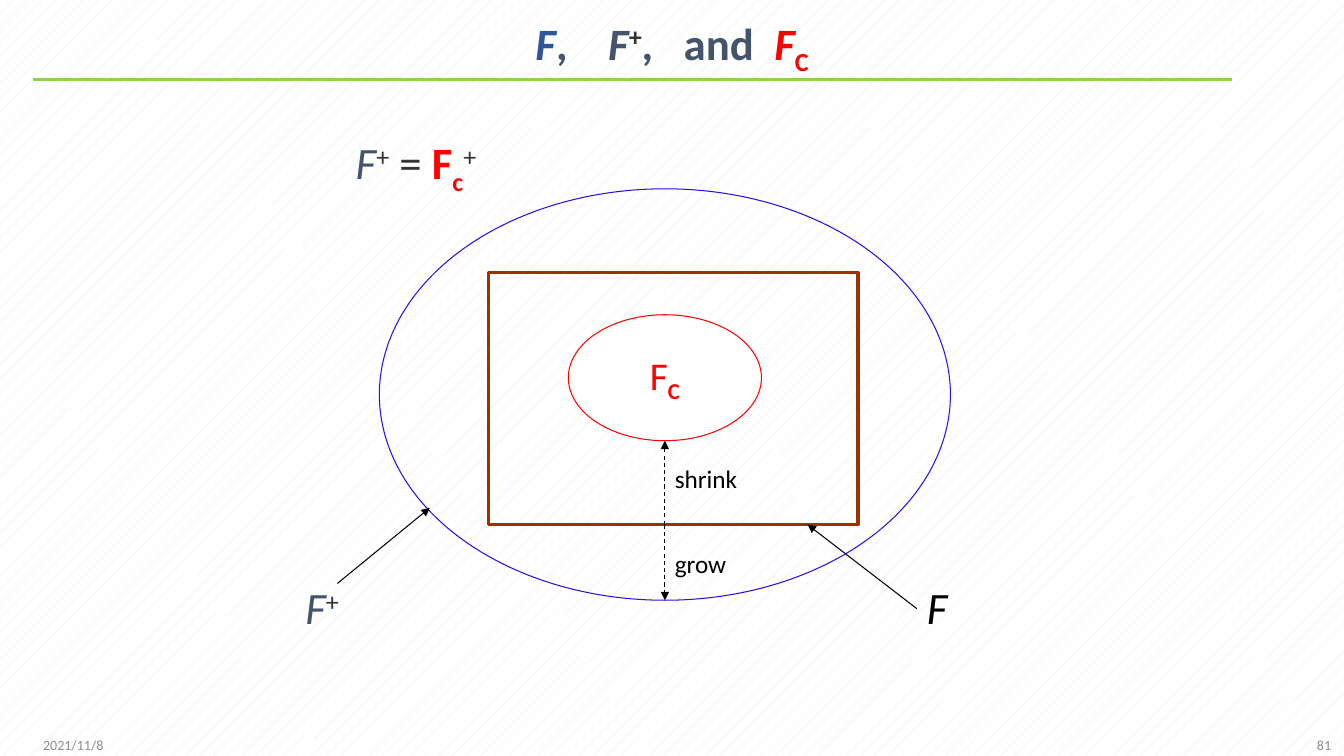
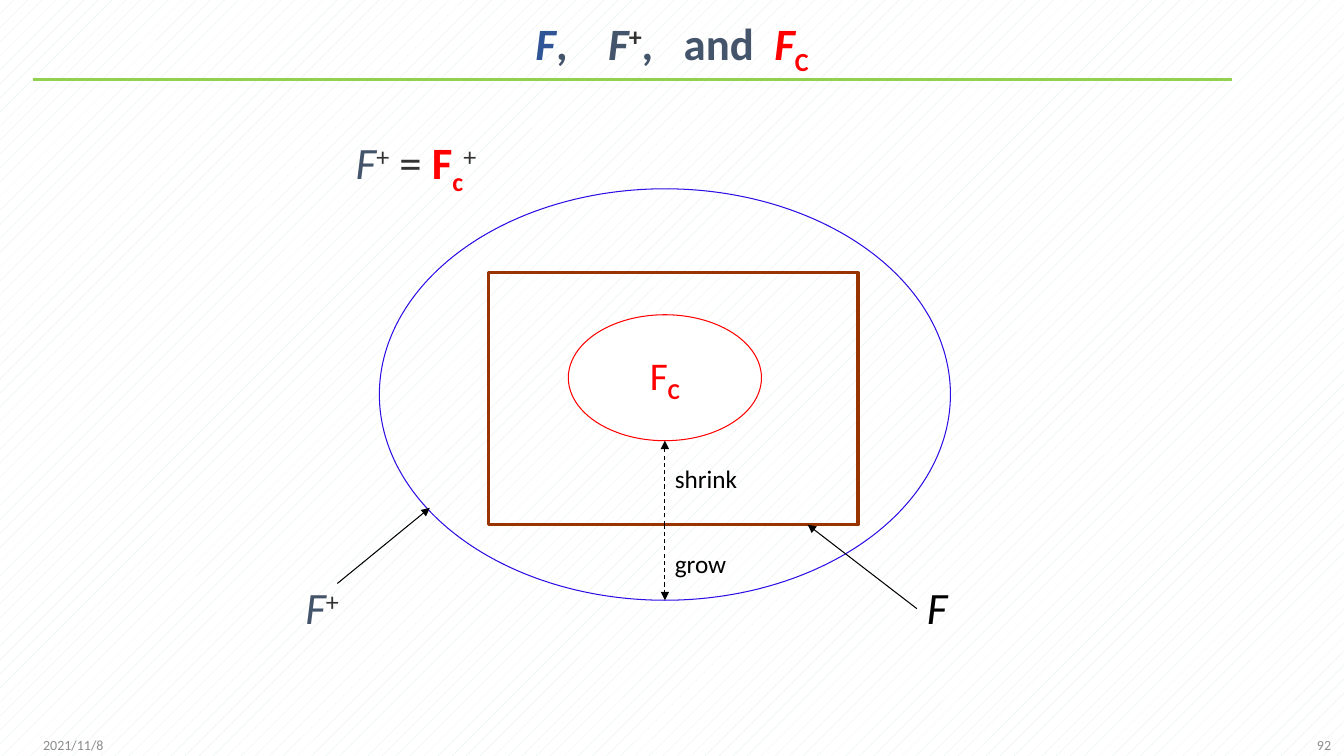
import dataclasses

import lxml.etree
import pptx
import pptx.dml.color
import pptx.enum.dml
import pptx.enum.shapes
import pptx.enum.text
import pptx.oxml.ns
import pptx.util

RGBColor = pptx.dml.color.RGBColor
Inches = pptx.util.Inches
Pt = pptx.util.Pt
ALIGN = pptx.enum.text.PP_ALIGN
ANCHOR = pptx.enum.text.MSO_ANCHOR
AUTO_SIZE = pptx.enum.text.MSO_AUTO_SIZE
SHAPE = pptx.enum.shapes.MSO_SHAPE

WHITE = RGBColor(0xFF, 0xFF, 0xFF)
BLACK = RGBColor(0x00, 0x00, 0x00)
INK = RGBColor(0x33, 0x33, 0x33)
SLATE = RGBColor(0x44, 0x54, 0x6A)
BLUE = RGBColor(0x2F, 0x55, 0x97)
VIOLET = RGBColor(0x2D, 0x0E, 0xE4)
RED = RGBColor(0xFF, 0x00, 0x00)
BROWN = RGBColor(0x99, 0x33, 0x00)
GREEN = RGBColor(0x92, 0xD0, 0x50)
GREY = RGBColor(0x8C, 0x8C, 0x8C)
MINT = RGBColor(0xDC, 0xEC, 0xE0)

FONT = "Calibri"
WIDTH, HEIGHT = 13.33, 7.5
MARGIN = 0.33
SUPERSCRIPT, SUBSCRIPT = 30, -25
DATE = "2021/11/8"
PAGE_NUMBERS = ["81", "92"]


@dataclasses.dataclass
class Piece:
    text: str
    color: RGBColor
    bold: bool = None
    italic: bool = None
    baseline: int = 0
    spacing: float = 0


CLOSURE = [Piece("F", SLATE, italic=True), Piece("+", INK, baseline=SUPERSCRIPT)]
TITLE = [
    Piece("F", BLUE, italic=True),
    Piece(",", SLATE),
    Piece(" ", SLATE, spacing=21.7),
    *CLOSURE,
    Piece(",", SLATE),
    Piece(" ", SLATE, spacing=14.5),
    Piece("and", SLATE),
    Piece(" ", SLATE, spacing=7.2),
    Piece("F", RED, italic=True),
    Piece("C", RED, baseline=SUBSCRIPT),
]
EQUATION = [
    *CLOSURE,
    Piece(" = ", INK),
    Piece("F", RED, bold=True),
    Piece("c", RED, bold=True, baseline=SUBSCRIPT),
    Piece("+", INK, baseline=SUPERSCRIPT),
]
COVER = [Piece("F", RED), Piece("C", RED, bold=True, baseline=SUBSCRIPT)]


@dataclasses.dataclass
class Grid:
    left: float
    top: float
    width: float
    height: float
    columns: int
    rows: int

    def point(self, column, row):
        return (Inches(self.left + self.width * column / self.columns),
                Inches(self.top + self.height * row / self.rows))

    def box(self, column, row, columns, rows):
        return (*self.point(column, row),
                Inches(self.width * columns / self.columns),
                Inches(self.height * rows / self.rows))


PAGE = Grid(0, 0, WIDTH, HEIGHT, WIDTH, HEIGHT)
DIAGRAM = Grid(2.93, 1.29, 6.58, 5.04, 158, 121)


def write(frame, pieces, size, align=ALIGN.LEFT, bold=None):
    paragraph = frame.paragraphs[0]
    paragraph.alignment = align
    paragraph.font.name = FONT
    paragraph.font.size = Pt(size)
    paragraph.font.bold = bold
    for piece in pieces:
        run = paragraph.add_run()
        run.text = piece.text
        run.font.color.rgb = piece.color
        run.font.bold = piece.bold
        run.font.italic = piece.italic
        properties = run._r.get_or_add_rPr()
        if piece.baseline:
            properties.set("baseline", str(piece.baseline * 1000))
        if piece.spacing:
            properties.set("spc", str(round(piece.spacing * 100)))
    return paragraph


def add_label(slide, box, pieces, size):
    frame = slide.shapes.add_textbox(*box).text_frame
    frame.word_wrap = False
    frame.auto_size = AUTO_SIZE.SHAPE_TO_FIT_TEXT
    write(frame, pieces, size)


def add_outline(slide, kind, box, color, weight, fill=None):
    shape = slide.shapes.add_shape(kind, *box)
    shape.shadow.inherit = False
    if fill is None:
        shape.fill.background()
    else:
        shape.fill.solid()
        shape.fill.fore_color.rgb = fill
    shape.line.color.rgb = color
    shape.line.width = Pt(weight)
    return shape


def add_line(slide, start, end, color=BLACK, weight=0.75, arrow=False, dashed=False):
    line = slide.shapes.add_connector(
        pptx.enum.shapes.MSO_CONNECTOR.STRAIGHT, *start, *end)
    line.line.color.rgb = color
    line.line.width = Pt(weight)
    if dashed:
        line.line.dash_style = pptx.enum.dml.MSO_LINE.DASH
    if arrow:
        lxml.etree.SubElement(line.line._get_or_add_ln(),
                              pptx.oxml.ns.qn("a:tailEnd"), type="triangle")
    lxml.etree.SubElement(line._element.spPr, pptx.oxml.ns.qn("a:effectLst"))


def style_master(presentation):
    fill = presentation.slide_master.background.fill
    fill.patterned()
    fill.pattern = pptx.enum.dml.MSO_PATTERN.PERCENT_5
    fill.fore_color.rgb = MINT
    fill.back_color.rgb = WHITE


def add_title(slide, pieces):
    title = slide.shapes.title
    title.left, title.top, title.width, title.height = PAGE.box(0.34, 0.09, 12.65, 0.69)
    frame = title.text_frame
    frame.word_wrap = True
    frame.auto_size = AUTO_SIZE.NONE
    frame.vertical_anchor = ANCHOR.MIDDLE
    write(frame, pieces, 32, ALIGN.CENTER, bold=True).line_spacing = 0.9
    add_line(slide, PAGE.point(MARGIN, 0.79), PAGE.point(12.22, 0.79), GREEN, 2.25)


def add_footer(slide, page_number):
    width = 3
    for left, text, align in [(MARGIN, DATE, ALIGN.LEFT),
                              (WIDTH - width - 0.03, page_number, ALIGN.RIGHT)]:
        frame = slide.shapes.add_textbox(*PAGE.box(left, 7.19, width, 0.4)).text_frame
        frame.word_wrap = True
        frame.vertical_anchor = ANCHOR.MIDDLE
        write(frame, [Piece(text, GREY)], 10, align)


def add_cover_diagram(slide, grid):
    add_outline(slide, SHAPE.OVAL, grid.box(20, 14, 136, 98), VIOLET, 0.75)
    cover = add_outline(slide, SHAPE.OVAL, grid.box(65, 44, 46, 30), RED, 0.75, WHITE)
    cover.text_frame.word_wrap = False
    cover.text_frame.vertical_anchor = ANCHOR.MIDDLE
    write(cover.text_frame, COVER, 28, ALIGN.CENTER)
    add_outline(slide, SHAPE.RECTANGLE, grid.box(46, 34, 88, 60), BROWN, 2.25)

    for start, end in [((148, 114), (122, 94)), ((10, 108), (32, 90))]:
        add_line(slide, grid.point(*start), grid.point(*end), arrow=True)
    for box, pieces in [((148, 106, 10, 15.4), [Piece("F", BLACK, italic=True)]),
                        ((0, 106, 13.5, 15.4), CLOSURE),
                        ((12, 0, 35, 15.4), EQUATION)]:
        add_label(slide, grid.box(*box), pieces, 32)

    for text, end_row, label_row, columns in [("grow", 112, 98.4, 17.3),
                                              ("shrink", 74, 78.3, 20)]:
        add_line(slide, grid.point(88, 94), grid.point(88, end_row),
                 arrow=True, dashed=True)
        add_label(slide, grid.box(88, label_row, columns, 9.6), [Piece(text, BLACK)], 18)


def add_cover_slide(presentation, page_number):
    slide = presentation.slides.add_slide(presentation.slide_layouts[5])
    add_title(slide, TITLE)
    add_footer(slide, page_number)
    add_cover_diagram(slide, DIAGRAM)


def main():
    presentation = pptx.Presentation()
    presentation.slide_width = Inches(WIDTH)
    presentation.slide_height = Inches(HEIGHT)
    style_master(presentation)
    for page_number in PAGE_NUMBERS:
        add_cover_slide(presentation, page_number)
    presentation.save("out.pptx")


if __name__ == "__main__":
    main()
